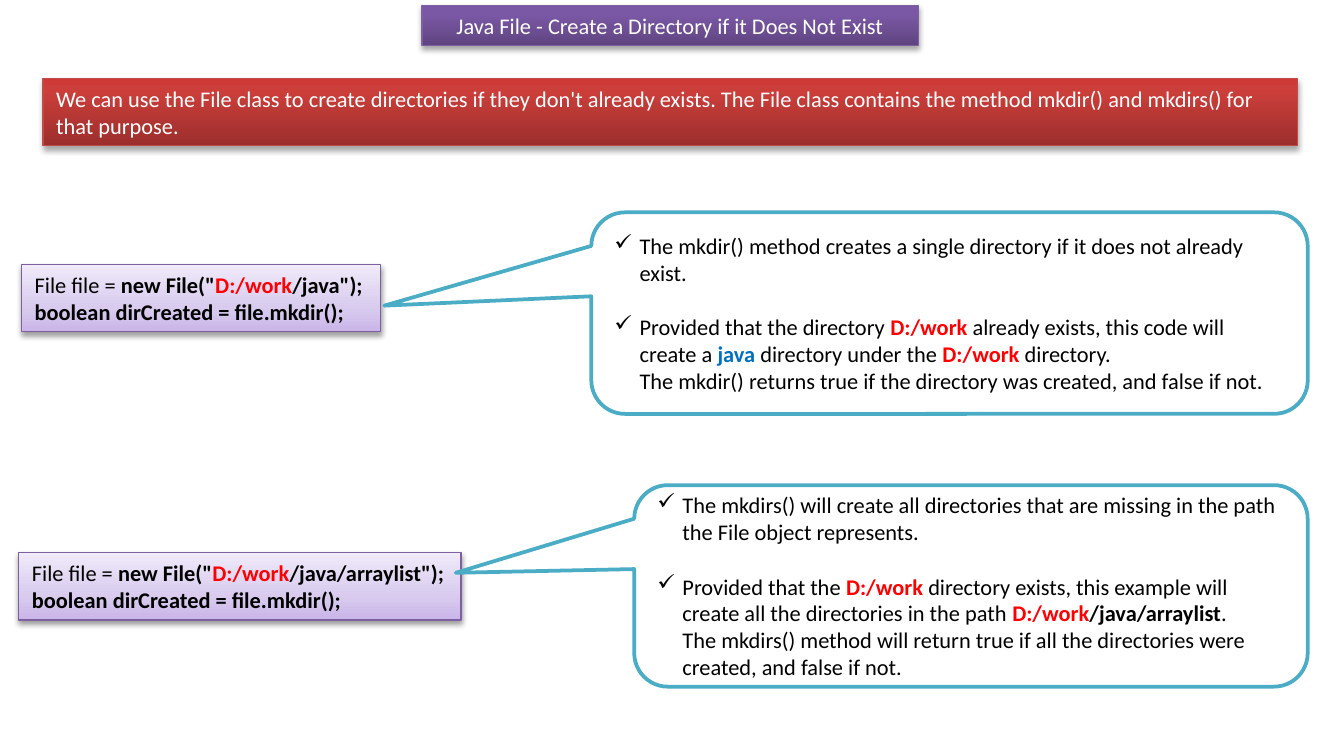
from lxml import etree
from pptx import Presentation
from pptx.dml.color import RGBColor
from pptx.enum.shapes import MSO_SHAPE
from pptx.enum.text import MSO_ANCHOR, MSO_AUTO_SIZE, PP_ALIGN
from pptx.oxml.ns import qn
from pptx.util import Pt

RECTANGLE = MSO_SHAPE.RECTANGLE
CALLOUT = MSO_SHAPE.ROUNDED_RECTANGULAR_CALLOUT
TOP, MIDDLE = MSO_ANCHOR.TOP, MSO_ANCHOR.MIDDLE
LEFT, CENTER = PP_ALIGN.LEFT, PP_ALIGN.CENTER
GROW = MSO_AUTO_SIZE.SHAPE_TO_FIT_TEXT

FONT, SIZE = "Calibri", 12
LINE_HEIGHT = 14.65
BULLET_INDENT = 13.5
HARD_SPACE = chr(160)
WHITE, BLACK, RED, BLUE, TEAL = "FFFFFF", "000000", "FF0000", "0070C0", "4BACC6"

STYLES = {
    "light": (WHITE, False),
    "plain": (BLACK, False),
    "bold": (BLACK, True),
    "path": (RED, True),
    "name": (BLUE, True),
}
THEMES = {
    "purple": dict(stops=[(0, "5F4480"), (80, "7B58A6"), (100, "7C57A8")],
                   line="7D60A0", opacity=35, distance=1.8),
    "red": dict(stops=[(0, "9C2F2D"), (80, "CB3E3A"), (100, "CE3B37")],
                line="BF4C48", opacity=35, distance=1.8),
    "lilac": dict(stops=[(0, "C9B5E8"), (35, "D8CBEE"), (100, "F0EAF9")],
                  line="7D60A0", opacity=38, distance=1.6),
}

# "~" is a non-breaking space
TITLE = [[("Java File - Create a Directory if it Does Not Exist", "light")]]
INTRO = [[("We can use the~File~class to create directories if they don't already exists. "
           "The~File~class contains the method~mkdir()~and~mkdirs()~for that purpose.", "light")]]
EXAMPLES = [
    dict(
        code_box=(11.5, 141.8, 192.5, 36),
        path_end='/java");',
        note_box=(316.8, 113.8, 383.8, 108),
        tail=(-0.789, -0.037, 0.167),
        notes=[
            [("The~mkdir()~method creates a single directory if it does not already exist.", "plain")],
            [("Provided that the directory~", "plain"), ("D:/work", "path"),
             ("~already exists, this code will create a ", "plain"), ("java ", "name"),
             ("directory under the ", "plain"), ("D:/work ", "path"),
             ("directory. The~mkdir()~returns~true~if the directory was created, "
              "and~false~if not.", "plain")],
        ],
    ),
    dict(
        code_box=(10, 296.2, 237, 36),
        path_end='/java/arraylist");',
        note_box=(339.8, 260, 360.8, 108),
        tail=(-0.765, -0.065, 0.167),
        notes=[
            [("The~mkdirs()~will create all directories that are missing in the path "
              "the~File~object represents.", "plain")],
            [("Provided that the ", "plain"), ("D:/work ", "path"),
             ("directory exists, this example will create all the directories in the path ", "plain"),
             ("D:/work", "path"), ("/java/arraylist", "bold"),
             (". The~mkdirs()~method will return~true~if all the directories were created, "
              "and false~if not.", "plain")],
        ],
    ),
]


def color(value):
    return RGBColor.from_string(value)


def add_element(parent, tag, **attributes):
    return etree.SubElement(parent, qn(tag), {k: str(v) for k, v in attributes.items()})


def add_box(slide, kind, box, line, width):
    shape = slide.shapes.add_shape(kind, *[Pt(length) for length in box])
    shape.shadow.inherit = False
    shape.line.color.rgb = color(line)
    shape.line.width = Pt(width)
    return shape


def write(shape, paragraphs, align=LEFT, anchor=TOP, bullets=False):
    frame = shape.text_frame
    frame.vertical_anchor = anchor
    for index, runs in enumerate(paragraphs):
        paragraph = frame.add_paragraph() if index else frame.paragraphs[0]
        paragraph.alignment = align
        if bullets:
            if index:
                paragraph.space_before = Pt(LINE_HEIGHT)
            properties = paragraph._p.get_or_add_pPr()
            properties.set("marL", str(Pt(BULLET_INDENT)))
            properties.set("indent", str(-Pt(BULLET_INDENT)))
            add_element(properties, "a:buChar", char="✓")
        for text, style in runs:
            run = paragraph.add_run()
            run.text = text.replace("~", HARD_SPACE)
            run.font.name = FONT
            run.font.size = Pt(SIZE)
            ink, run.font.bold = STYLES[style]
            run.font.color.rgb = color(ink)


def add_panel(slide, box, theme, paragraphs, align=LEFT, wrap=True):
    look = THEMES[theme]
    panel = add_box(slide, RECTANGLE, box, look["line"], 0.75)
    panel.fill.gradient()
    panel.fill.gradient_angle = 90
    properties = panel._element.spPr
    stops = properties.find(qn("a:gradFill")).find(qn("a:gsLst"))
    for stop in list(stops):
        stops.remove(stop)
    for position, value in look["stops"]:
        stop = add_element(stops, "a:gs", pos=position * 1000)
        add_element(stop, "a:srgbClr", val=value)
    shadow = add_element(properties.find(qn("a:effectLst")), "a:outerShdw",
                         blurRad=Pt(3.1), dist=Pt(look["distance"]),
                         dir=90 * 60000, rotWithShape=0)
    shade = add_element(shadow, "a:srgbClr", val=BLACK)
    add_element(shade, "a:alpha", val=look["opacity"] * 1000)
    panel.text_frame.word_wrap = wrap
    panel.text_frame.auto_size = GROW
    write(panel, paragraphs, align)


def add_callout(slide, box, tail, notes):
    callout = add_box(slide, CALLOUT, box, TEAL, 2)
    callout.fill.solid()
    callout.fill.fore_color.rgb = color(WHITE)
    for index, value in enumerate(tail):
        callout.adjustments[index] = value
    callout.text_frame.word_wrap = True
    write(callout, notes, anchor=MIDDLE, bullets=True)


def main():
    deck = Presentation()
    deck.slide_width, deck.slide_height = Pt(720), Pt(396)
    slide = deck.slides.add_slide(deck.slide_layouts[6])
    add_panel(slide, (226, 3, 266, 21.6), "purple", TITLE, CENTER)
    for example in EXAMPLES:
        code = [
            [("File file = ", "plain"), ('new File("', "bold"),
             ("D:/work", "path"), (example["path_end"], "bold")],
            [("boolean dirCreated = file.mkdir();", "bold")],
        ]
        add_panel(slide, example["code_box"], "lilac", code, wrap=False)
        add_callout(slide, example["note_box"], example["tail"], example["notes"])
    add_panel(slide, (23, 42, 672, 36), "red", INTRO)
    deck.save("out.pptx")


if __name__ == "__main__":
    main()
